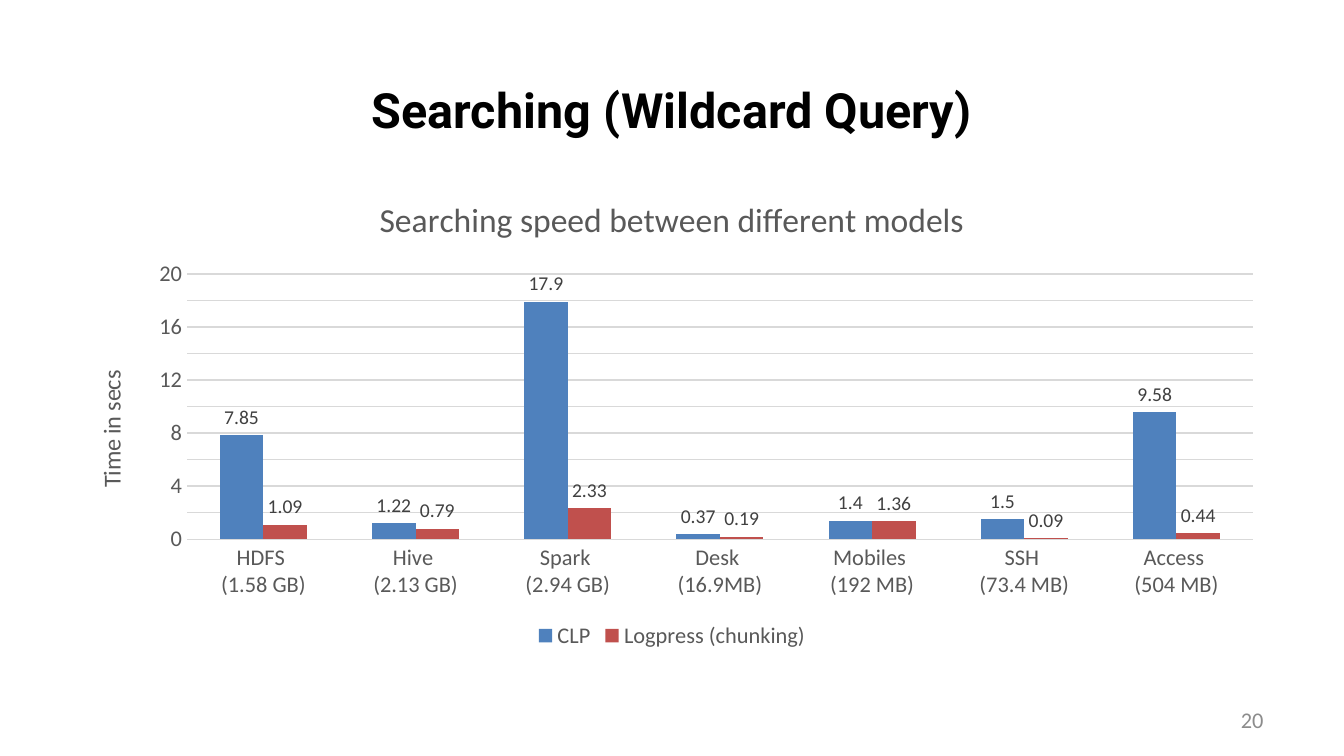
import dataclasses

import pptx
import pptx.chart.data
import pptx.dml.color
import pptx.enum.chart
import pptx.enum.text
import pptx.util

COLORS = {
    "title": "000000",
    "chart_text": "595959",
    "label": "404040",
    "grid": "D9D9D9",
    "page_number": "8C8C8C",
    "clp": "4F81BD",
    "logpress": "C0504D",
}


@dataclasses.dataclass(frozen=True)
class Box:
    left: float
    top: float
    width: float
    height: float


@dataclasses.dataclass(frozen=True)
class Dataset:
    name: str
    size: str
    clp: float
    logpress: float


@dataclasses.dataclass(frozen=True)
class Model:
    name: str
    key: str


DATASETS = [
    Dataset("HDFS", "1.58 GB", 7.85, 1.09),
    Dataset("Hive", "2.13 GB", 1.22, 0.79),
    Dataset("Spark", "2.94 GB", 17.9, 2.33),
    Dataset("Desk", "16.9MB", 0.37, 0.19),
    Dataset("Mobiles", "192 MB", 1.4, 1.36),
    Dataset("SSH", "73.4 MB", 1.5, 0.09),
    Dataset("Access", "504 MB", 9.58, 0.44),
]
MODELS = [Model("CLP", "clp"), Model("Logpress (chunking)", "logpress")]

TITLE_BOX = Box(1.27, 1.27, 22.86, 1.58)
CHART_BOX = Box(1.27, 3.28, 22.86, 9.09)
PAGE_NUMBER_BOX = Box(18.21, 13.23, 5.92, 0.76)


def color(key: str) -> pptx.dml.color.RGBColor:
    return pptx.dml.color.RGBColor.from_string(COLORS[key])


def lengths(box: Box) -> list[pptx.util.Cm]:
    return [pptx.util.Cm(value) for value in dataclasses.astuple(box)]


def style_font(font, size: float, key: str, name: str = "Calibri", bold: bool = False) -> None:
    font.name = name
    font.size = pptx.util.Pt(size)
    font.bold = bold
    font.color.rgb = color(key)


def write_text(shape, text: str, alignment) -> object:
    frame = shape.text_frame
    frame.word_wrap = True
    frame.vertical_anchor = pptx.enum.text.MSO_ANCHOR.MIDDLE
    paragraph = frame.paragraphs[0]
    paragraph.text = text
    paragraph.alignment = alignment
    return paragraph.font


def write_chart_title(title, text: str, size: float) -> None:
    paragraph = title.text_frame.paragraphs[0]
    paragraph.text = text
    style_font(paragraph.font, size, "chart_text")


def style_grid_line(line) -> None:
    line.color.rgb = color("grid")
    line.width = pptx.util.Pt(0.75)


def add_title(slide) -> None:
    shape = slide.shapes.title
    shape.left, shape.top, shape.width, shape.height = lengths(TITLE_BOX)
    font = write_text(shape, "Searching (Wildcard Query)", pptx.enum.text.PP_ALIGN.CENTER)
    style_font(font, 26, "title", "Roboto", True)


def style_axes(chart) -> None:
    for axis in (chart.category_axis, chart.value_axis):
        axis.major_tick_mark = pptx.enum.chart.XL_TICK_MARK.NONE
        axis.minor_tick_mark = pptx.enum.chart.XL_TICK_MARK.NONE
        style_font(axis.tick_labels.font, 12, "chart_text")
    style_grid_line(chart.category_axis.format.line)
    value_axis = chart.value_axis
    value_axis.minimum_scale, value_axis.maximum_scale, value_axis.major_unit = 0, 20, 2
    value_axis.format.line.fill.background()
    style_grid_line(value_axis.major_gridlines.format.line)
    write_chart_title(value_axis.axis_title, "Time in secs", 13)


def style_series(series, model: Model) -> None:
    series.format.fill.solid()
    series.format.fill.fore_color.rgb = color(model.key)
    labels = series.data_labels
    labels.show_value = True
    labels.position = pptx.enum.chart.XL_LABEL_POSITION.OUTSIDE_END
    style_font(labels.font, 10.5, "label")


def add_search_chart(slide) -> None:
    data = pptx.chart.data.CategoryChartData()
    data.categories = [f"{dataset.name} \n({dataset.size})" for dataset in DATASETS]
    for model in MODELS:
        data.add_series(model.name, [getattr(dataset, model.key) for dataset in DATASETS])
    chart = slide.shapes.add_chart(
        pptx.enum.chart.XL_CHART_TYPE.COLUMN_CLUSTERED, *lengths(CHART_BOX), data
    ).chart
    style_font(chart.font, 10, "title")
    chart.has_title = True
    write_chart_title(chart.chart_title, "Searching speed between different models", 18)
    chart.chart_title.include_in_layout = False
    chart.has_legend = True
    chart.legend.position = pptx.enum.chart.XL_LEGEND_POSITION.BOTTOM
    chart.legend.include_in_layout = False
    style_font(chart.legend.font, 12, "chart_text")
    style_axes(chart)
    plot = chart.plots[0]
    plot.gap_width = 150
    plot.overlap = 0
    plot.vary_by_categories = False
    for series, model in zip(plot.series, MODELS):
        style_series(series, model)


def add_page_number(slide) -> None:
    shape = slide.shapes.add_textbox(*lengths(PAGE_NUMBER_BOX))
    font = write_text(shape, "20", pptx.enum.text.PP_ALIGN.RIGHT)
    style_font(font, 12, "page_number")


def main() -> None:
    presentation = pptx.Presentation()
    presentation.slide_width = pptx.util.Cm(25.4)
    presentation.slide_height = pptx.util.Cm(14.29)
    slide = presentation.slides.add_slide(presentation.slide_layouts[5])
    add_title(slide)
    add_search_chart(slide)
    add_page_number(slide)
    presentation.save("out.pptx")


if __name__ == "__main__":
    main()
